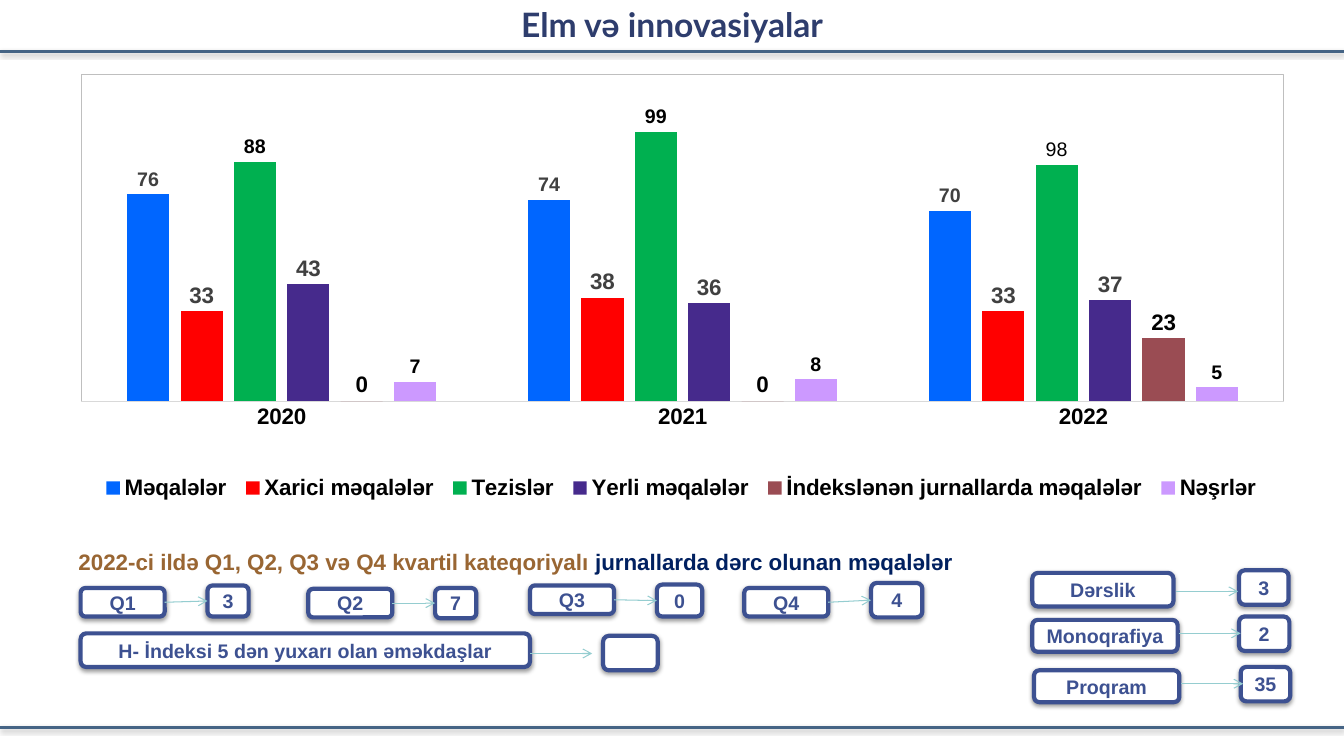
from lxml import etree
from pptx import Presentation
from pptx.chart.data import CategoryChartData
from pptx.dml.color import RGBColor
from pptx.enum.chart import XL_CHART_TYPE, XL_LABEL_POSITION, XL_LEGEND_POSITION, XL_TICK_MARK
from pptx.enum.shapes import MSO_CONNECTOR, MSO_SHAPE
from pptx.enum.text import MSO_ANCHOR, PP_ALIGN
from pptx.oxml import parse_xml
from pptx.oxml.ns import nsdecls, qn
from pptx.util import Inches, Pt

COLUMNS = XL_CHART_TYPE.COLUMN_CLUSTERED
OUTSIDE_END = XL_LABEL_POSITION.OUTSIDE_END
LEGEND_BOTTOM = XL_LEGEND_POSITION.BOTTOM
NO_TICK = XL_TICK_MARK.NONE
STRAIGHT = MSO_CONNECTOR.STRAIGHT
ROUNDED = MSO_SHAPE.ROUNDED_RECTANGLE
MIDDLE = MSO_ANCHOR.MIDDLE
CENTER = PP_ALIGN.CENTER

WHITE = RGBColor(0xFF, 0xFF, 0xFF)
BLACK = RGBColor(0, 0, 0)
GREY = RGBColor(0x40, 0x40, 0x40)
AXIS_GREY = RGBColor(0xD9, 0xD9, 0xD9)
RULE_BLUE = RGBColor(0x45, 0x64, 0x85)
TITLE_BLUE = RGBColor(0x2E, 0x3D, 0x6D)
BOX_BLUE = RGBColor(0x3D, 0x51, 0x91)
ARROW_TEAL = RGBColor(0x95, 0xCD, 0xD0)
BROWN = RGBColor(0x99, 0x66, 0x33)
NAVY = RGBColor(0x00, 0x20, 0x60)

# Slide grid: 160 columns by 90 rows of square cells
SLIDE_WIDTH, SLIDE_HEIGHT = Inches(13.333), Inches(7.5)
CELL = SLIDE_HEIGHT / 90

YEARS = ["2020", "2021", "2022"]
# Name, values, bar colour, label size, label colour
PUBLICATIONS = [
    ("Məqalələr", (76, 74, 70), RGBColor(0x00, 0x66, 0xFF), 14, GREY),
    ("Xarici məqalələr", (33, 38, 33), RGBColor(0xFF, 0x00, 0x00), 16, GREY),
    ("Tezislər", (88, 99, 87), RGBColor(0x00, 0xB0, 0x50), 14, BLACK),
    ("Yerli məqalələr", (43, 36, 37), RGBColor(0x46, 0x2A, 0x8C), 16, GREY),
    ("İndekslənən jurnallarda məqalələr", (0, 0, 23), RGBColor(0x9A, 0x4C, 0x53), 16, BLACK),
    ("Nəşrlər", (7, 8, 5), RGBColor(0xCC, 0x99, 0xFF), 14, BLACK),
]

# Quartile, count, column, label row, count row, count width, count height
QUARTILES = [
    ("Q1", "3", 9.6, 70, 69.7, 4.9, 3.7),
    ("Q2", "7", 36.7, 70.1, 70, 4.9, 3.6),
    ("Q3", "0", 63.1, 69.7, 69.6, 5.4, 3.8),
    ("Q4", "4", 88.6, 70, 69.4, 6.1, 4.1),
]

# Label, count, label box, count box, arrow start
TOTALS = [
    ("Dərslik", "3", (122.9, 68.2, 16.8, 4), (147.5, 67.9, 5.9, 4.1), (140, 70.4)),
    ("Monoqrafiya", "2", (122.9, 73.8, 17.3, 3.8), (147.5, 73.4, 6, 4.1), (140.3, 75.4)),
    ("Proqram", "35", (123.1, 79.8, 17.3, 3.8), (147.7, 79.4, 5.9, 4.1), (140.6, 81.4)),
    ("H- İndeksi 5 dən yuxarı olan əməkdaşlar", "",
     (9.6, 75.4, 53.5, 4), (71.8, 75.7, 6.5, 4.1), (63.1, 77.8)),
]
TOTAL_ARROW = 7.4


def grid(*cells):
    return [round(cell * CELL) for cell in cells]


def set_font(font, size, color, name="Arial", bold=True):
    for attribute, value in {"size": Pt(size), "name": name, "bold": bold}.items():
        setattr(font, attribute, value)
    font.color.rgb = color


def set_line(line, color, width):
    line.color.rgb = color
    line.width = Pt(width)


def set_effects(shape, shadow):
    """Write the effect list, with a soft drop shadow or empty."""
    drop = ('<a:outerShdw blurRad="40000" dist="20000" dir="5400000" rotWithShape="0">'
            '<a:srgbClr val="000000"><a:alpha val="38000"/></a:srgbClr></a:outerShdw>')
    shape._element.spPr.append(parse_xml(
        f'<a:effectLst {nsdecls("a")}>{drop if shadow else ""}</a:effectLst>'))


def add_rule(slide, row):
    start, end = grid(0, row), grid(160, row)
    rule = slide.shapes.add_connector(STRAIGHT, *start, *end)
    set_line(rule.line, RULE_BLUE, 2)
    set_effects(rule, shadow=True)


def add_arrow(slide, start, end):
    arrow = slide.shapes.add_connector(STRAIGHT, *grid(*start), *grid(*end))
    set_line(arrow.line, ARROW_TEAL, 0.75)
    etree.SubElement(arrow.line._get_or_add_ln(), qn("a:tailEnd"), type="arrow")
    set_effects(arrow, shadow=False)


def add_heading(slide, place, parts, size, font_name="Arial"):
    frame = slide.shapes.add_textbox(*grid(*place)).text_frame
    frame.word_wrap = False
    paragraph = frame.paragraphs[0]
    paragraph.alignment = CENTER
    for words, color in parts:
        run = paragraph.add_run()
        run.text = words
        set_font(run.font, size, color, font_name)


def add_box(slide, place, words):
    box = slide.shapes.add_shape(ROUNDED, *grid(*place))
    box.fill.solid()
    box.fill.fore_color.rgb = WHITE
    set_line(box.line, BOX_BLUE, 3)
    set_effects(box, shadow=True)
    frame = box.text_frame
    for attribute, value in {"margin_left": 0, "margin_right": 0, "margin_top": 0,
                             "margin_bottom": 0, "vertical_anchor": MIDDLE}.items():
        setattr(frame, attribute, value)
    if words:
        paragraph = frame.paragraphs[0]
        paragraph.alignment = CENTER
        run = paragraph.add_run()
        run.text = words
        set_font(run.font, 14, BOX_BLUE)


def add_quartile(slide, quartile, count, column, label_row, count_row, width, height):
    label_width, label_height, step = 10, 3.4, 15.1
    add_box(slide, (column, label_row, label_width, label_height), quartile)
    add_box(slide, (column + step, count_row, width, height), count)
    add_arrow(slide, (column + label_width, label_row + label_height / 2),
              (column + step, count_row + height / 2))


def add_total(slide, label, count, label_place, count_place, start):
    add_box(slide, label_place, label)
    add_box(slide, count_place, count)
    add_arrow(slide, start, (start[0] + TOTAL_ARROW, start[1]))


def layout_xml(x, y, w, h, inner=False):
    target = '<c:layoutTarget val="inner"/>' if inner else ""
    sizes = "".join(f'<c:{tag} val="{share}"/>' for tag, share in zip("xywh", (x, y, w, h)))
    return parse_xml(f'<c:layout {nsdecls("c")}><c:manualLayout>{target}<c:xMode val="edge"/>'
                     f'<c:yMode val="edge"/>{sizes}</c:manualLayout></c:layout>')


def style_series(series, color, label_size, label_color):
    series.format.fill.solid()
    series.format.fill.fore_color.rgb = color
    labels = series.data_labels
    labels.show_value = True
    labels.position = OUTSIDE_END
    set_font(labels.font, label_size, label_color)


def add_publications_chart(slide):
    data = CategoryChartData()
    data.categories = YEARS
    for name, values, *_ in PUBLICATIONS:
        data.add_series(name, values)
    chart = slide.shapes.add_chart(COLUMNS, *grid(1.9, 7.2, 155.3, 57.2), data).chart
    set_font(chart.font, 10, BLACK, bold=False)
    chart.has_title = False

    # Bars and their labels
    plot = chart.plots[0]
    for attribute, value in {"gap_width": 219, "overlap": -27,
                             "vary_by_categories": False}.items():
        setattr(plot, attribute, value)
    for series, (_, _, *style) in zip(plot.series, PUBLICATIONS):
        style_series(series, *style)
    theses_label = plot.series[2].points[2].data_label
    theses_run = theses_label.text_frame.paragraphs[0].add_run()
    theses_run.text = "98"
    set_font(theses_run.font, 14, BLACK, bold=False)
    theses_label.position = OUTSIDE_END

    # Axes
    years = chart.category_axis
    years.major_tick_mark = NO_TICK
    set_font(years.tick_labels.font, 16, BLACK)
    set_line(years.format.line, AXIS_GREY, 0.75)
    for attribute, value in {"visible": False, "has_major_gridlines": False,
                             "minimum_scale": 0, "maximum_scale": 120}.items():
        setattr(chart.value_axis, attribute, value)

    # Legend and plot frame
    chart.has_legend = True
    legend = chart.legend
    legend.position = LEGEND_BOTTOM
    legend.include_in_layout = False
    set_font(legend.font, 16, BLACK)
    legend._element.find(qn("c:legendPos")).addnext(layout_xml(0.06, 0.85, 0.9, 0.08))
    plot_area = chart._chartSpace.chart.plotArea
    for layout in plot_area.findall(qn("c:layout")):
        plot_area.remove(layout)
    plot_area.insert(0, layout_xml(0.05, 0.03, 0.922, 0.679, inner=True))
    plot_area.append(parse_xml(
        f'<c:spPr {nsdecls("c", "a")}><a:noFill/><a:ln w="9525"><a:solidFill>'
        '<a:srgbClr val="BFBFBF"/></a:solidFill></a:ln></c:spPr>'))


def main():
    deck = Presentation()
    deck.slide_width, deck.slide_height = SLIDE_WIDTH, SLIDE_HEIGHT
    slide = deck.slides.add_slide(deck.slide_layouts[6])

    # Title between the rules
    for row in (86.6, 6.1):
        add_rule(slide, row)
    add_heading(slide, (58.8, -0.1, 42.4, 6), [("Elm və innovasiyalar", TITLE_BLUE)], 24, "Lato")

    # Quartile articles and other totals
    add_heading(slide, (7.4, 64.7, 108.7, 4.4), [
        ("2022-ci ildə Q1, Q2, Q3 və Q4 kvartil kateqoriyalı ", BROWN),
        ("jurnallarda dərc olunan məqalələr ", NAVY)], 16)
    for quartile in QUARTILES:
        add_quartile(slide, *quartile)
    for total in TOTALS:
        add_total(slide, *total)

    add_publications_chart(slide)
    deck.save("out.pptx")


if __name__ == "__main__":
    main()
